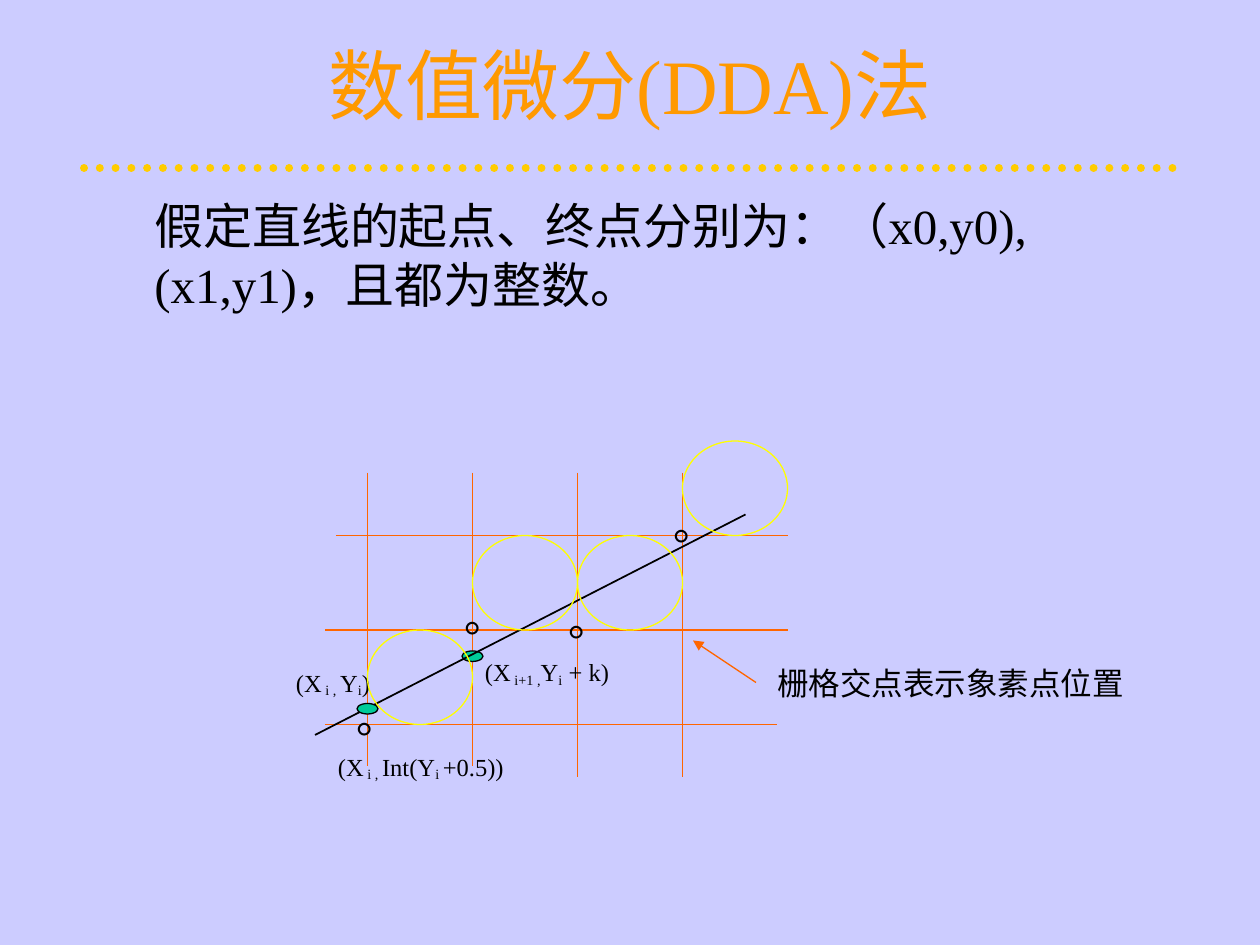
from dataclasses import dataclass

from lxml.etree import SubElement
from pptx import Presentation
from pptx.dml.color import RGBColor
from pptx.enum.dml import MSO_LINE
from pptx.enum.shapes import MSO_CONNECTOR, MSO_SHAPE
from pptx.enum.text import MSO_ANCHOR, PP_ALIGN
from pptx.oxml.ns import qn
from pptx.util import Pt


@dataclass(frozen=True)
class Theme:
    font: str = "Times New Roman"
    background: RGBColor = RGBColor(0xCC, 0xCC, 0xFF)
    title: RGBColor = RGBColor(0xFF, 0x99, 0x00)
    rule: RGBColor = RGBColor(0xFF, 0xCC, 0x00)
    text: RGBColor = RGBColor(0, 0, 0)
    grid: RGBColor = RGBColor(0xFF, 0x66, 0x00)
    sample: RGBColor = RGBColor(0, 0xCC, 0x99)
    pixel: RGBColor = RGBColor(0xFF, 0xFF, 0)
    title_size: int = 44
    body_size: int = 28
    marker_size: int = 24
    note_size: int = 18
    label_size: int = 14


theme = Theme()


def write_text(box, *pieces, size, color=theme.text, align=PP_ALIGN.LEFT, wrap=True):
    """Fill a box with one paragraph; every second piece is a subscript."""
    box.text_frame.word_wrap = wrap
    para = box.text_frame.paragraphs[0]
    para.alignment = align
    para.space_before = Pt(0)
    for index, piece in enumerate(pieces):
        span = para.add_run()
        span.text = piece
        span.font.name = theme.font
        span.font.size = Pt(size)
        span.font.color.rgb = color
        if index % 2:
            span.font._element.set("baseline", "-14000")
    return para


def add_line(page, start, end, color, width=0.75):
    line = page.shapes.add_connector(
        MSO_CONNECTOR.STRAIGHT, *(Pt(value) for value in (*start, *end)))
    line.line.color.rgb = color
    line.line.width = Pt(width)
    SubElement(line._element.spPr, qn("a:effectLst"))
    return line


deck = Presentation()
deck.slide_width, deck.slide_height = Pt(720), Pt(540)
page = deck.slides.add_slide(deck.slide_layouts[1])
page.background.fill.solid()
page.background.fill.fore_color.rgb = theme.background

# Title, dotted rule and body
title, body = page.placeholders
title.left, title.top, title.width, title.height = Pt(54), Pt(18), Pt(612), Pt(60)
title.text_frame.vertical_anchor = MSO_ANCHOR.MIDDLE
write_text(title, "数值微分(DDA)法", size=theme.title_size, color=theme.title,
           align=PP_ALIGN.CENTER)

rule = add_line(page, (48, 96), (672, 96), theme.rule, 4.5)
rule.line.dash_style = MSO_LINE.ROUND_DOT
rule.line._ln.set("cap", "rnd")

body.left, body.top, body.width, body.height = Pt(54), Pt(108), Pt(612), Pt(390)
para = write_text(body, "假定直线的起点、终点分别为：（x0,y0), (x1,y1)，且都为整数。",
                  size=theme.body_size)
properties = para._p.get_or_add_pPr()
properties.set("marL", str(Pt(27)))
properties.set("indent", "0")
SubElement(properties, qn("a:buNone"))

# Raster grid
cell_width, cell_height = 60, 54
columns = [210 + cell_width * index for index in range(4)]
rows = [306 + cell_height * index for index in range(3)]
for y, left, right in zip(rows, (192, 186, 186), (450, 450, 444)):
    add_line(page, (left, y), (right, y), theme.grid)
for x, bottom in zip(columns, (438, 438, 444, 444)):
    add_line(page, (x, 270), (x, bottom), theme.grid)

# Labels
labels = [
    (270, 372, 90, ("(X", " i+1 ,", "Y", "i", " + k)")),
    (186, 426, 114, ("(X", " i , ", "Int(Y", "i ", "+0.5))")),
    (162, 378, 90, ("(X", " i , ", "Y", "i", ")")),
]
for left, top, width, pieces in labels:
    box = page.shapes.add_textbox(Pt(left), Pt(top), Pt(width), Pt(25))
    write_text(box, *pieces, size=theme.label_size)

note = page.shapes.add_textbox(Pt(437), Pt(376), Pt(223), Pt(29))
write_text(note, "栅格交点表示象素点位置", size=theme.note_size)
arrow = add_line(page, (432, 390), (396, 366), theme.grid)
SubElement(arrow.line._ln, qn("a:tailEnd"), type="triangle")

# Chosen raster points
for left, top in ((196.5, 391.5), (258.5, 334), (318, 336), (378, 281.5)):
    marker = page.shapes.add_textbox(Pt(left), Pt(top), Pt(38), Pt(36))
    write_text(marker, "。", size=theme.marker_size, wrap=False)

# Ideal line, its samples and the pixels
ovals = [(columns[1] - 6, 372, 12, 6, theme.text),
         (columns[0] - 6, 402, 12, 6, theme.text)]
for column, top in zip(columns, (rows[1], rows[0], rows[0], rows[0] - cell_height)):
    ovals.append((column, top, cell_width, cell_height, theme.pixel))
for left, top, width, height, outline in ovals:
    oval = page.shapes.add_shape(MSO_SHAPE.OVAL, Pt(left), Pt(top), Pt(width), Pt(height))
    oval.shadow.inherit = False
    oval.line.color.rgb = outline
    oval.line.width = Pt(0.75)
    if outline == theme.pixel:
        oval.fill.background()
    else:
        oval.fill.solid()
        oval.fill.fore_color.rgb = theme.sample
    if left == columns[1] - 6:
        add_line(page, (180, 420), (426, 294), theme.text, 1)

deck.save("out.pptx")
